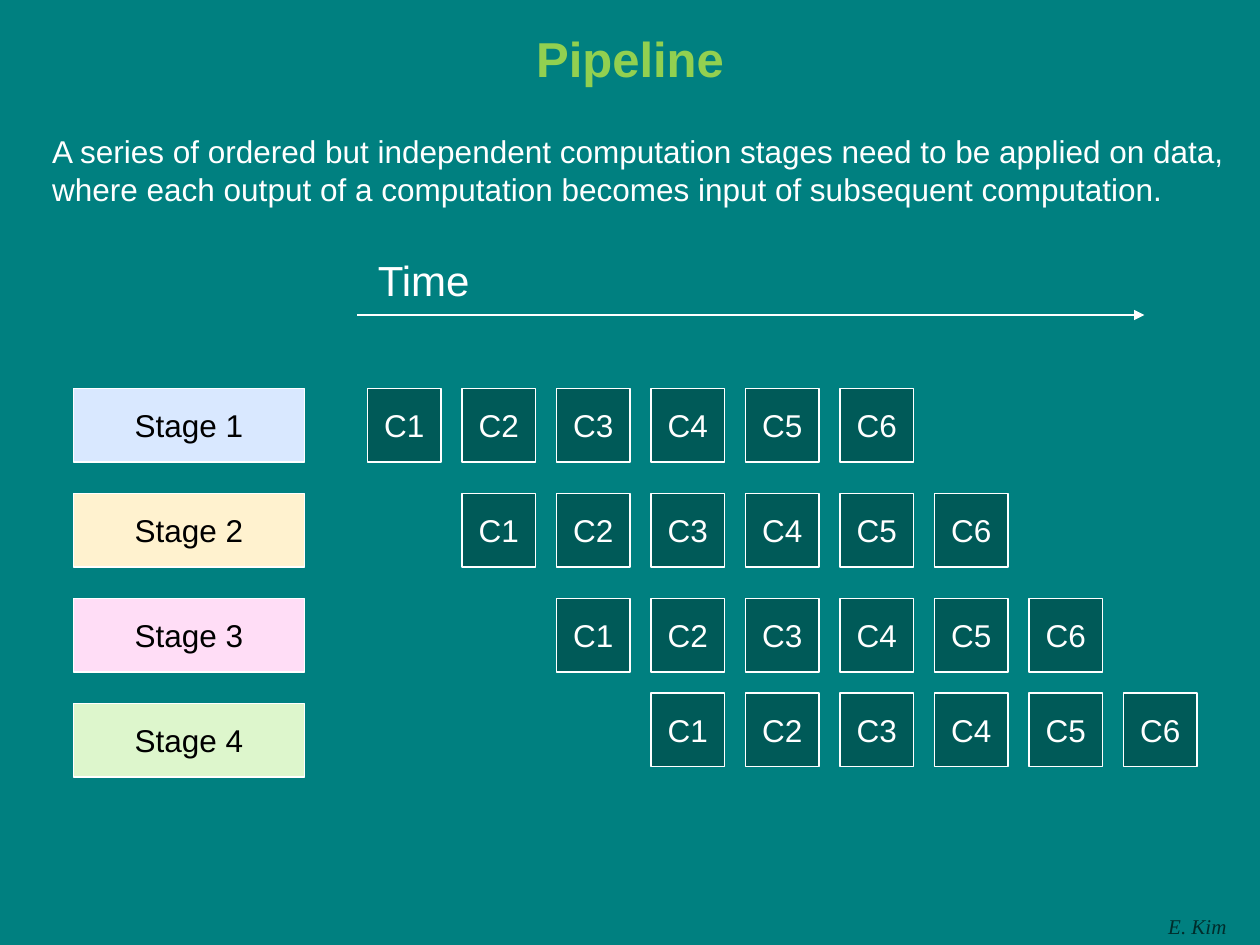
from lxml import etree
from pptx import Presentation
from pptx.dml.color import RGBColor
from pptx.enum.shapes import MSO_CONNECTOR, MSO_SHAPE
from pptx.enum.text import MSO_ANCHOR, PP_ALIGN
from pptx.oxml import parse_xml
from pptx.oxml.ns import nsdecls, qn
from pptx.util import Pt

LEFT, CENTER, RIGHT = PP_ALIGN.LEFT, PP_ALIGN.CENTER, PP_ALIGN.RIGHT
TOP, MIDDLE = MSO_ANCHOR.TOP, MSO_ANCHOR.MIDDLE
RECTANGLE, STRAIGHT = MSO_SHAPE.RECTANGLE, MSO_CONNECTOR.STRAIGHT

TEAL = RGBColor(0x00, 0x80, 0x80)
DARK_TEAL = RGBColor(0x00, 0x5A, 0x58)
DEEP_TEAL = RGBColor(0x00, 0x2D, 0x2C)
LIME = RGBColor(0x92, 0xD0, 0x50)
WHITE = RGBColor(0xFF, 0xFF, 0xFF)
BLACK = RGBColor(0x00, 0x00, 0x00)
PALE_BLUE = RGBColor(0xD9, 0xE8, 0xFF)
PALE_YELLOW = RGBColor(0xFF, 0xF2, 0xCF)
PALE_PINK = RGBColor(0xFF, 0xDD, 0xF6)
PALE_GREEN = RGBColor(0xDD, 0xF6, 0xCC)

TEXT_SHADOW = (
    f'<a:effectLst {nsdecls("a")}><a:outerShdw blurRad="38100" dist="38100" dir="2700000">'
    '<a:srgbClr val="000000"><a:alpha val="43000"/></a:srgbClr>'
    '</a:outerShdw></a:effectLst>'
)


class SlideBuilder:
    """Draws elements on one page; all lengths are in points."""

    font = "Arial"
    size = 18
    line_width = 0.75

    def __init__(self, page):
        self.page = page

    def fill_text(self, frame, lines, color, size=None, font=None, align=LEFT,
                  anchor=TOP, wrap=False, bold=False, italic=False):
        frame.word_wrap = wrap
        frame.vertical_anchor = anchor
        for index, line in enumerate(lines):
            para = frame.add_paragraph() if index else frame.paragraphs[0]
            para.alignment = align
            span = para.add_run()
            span.text = line
            span.font.name = font or self.font
            span.font.size = Pt(size or self.size)
            span.font.color.rgb = color
            span.font.bold = bold
            span.font.italic = italic

    def text(self, left, top, width, height, lines, color, **style):
        box = self.page.shapes.add_textbox(Pt(left), Pt(top), Pt(width), Pt(height))
        self.fill_text(box.text_frame, lines, color, **style)
        return box

    def block(self, left, top, width, height, label, fill, color):
        box = self.page.shapes.add_shape(
            RECTANGLE, Pt(left), Pt(top), Pt(width), Pt(height))
        box.shadow.inherit = False
        box.fill.solid()
        box.fill.fore_color.rgb = fill
        box.line.color.rgb = WHITE
        box.line.width = Pt(self.line_width)
        self.fill_text(box.text_frame, [label], color, align=CENTER, anchor=MIDDLE)

    def arrow(self, x1, y1, x2, y2):
        arrow = self.page.shapes.add_connector(STRAIGHT, Pt(x1), Pt(y1), Pt(x2), Pt(y2))
        arrow.line.color.rgb = WHITE
        arrow.line.width = Pt(self.line_width)
        properties = arrow._element.spPr
        etree.SubElement(properties.find(qn("a:ln")), qn("a:tailEnd"), type="triangle")
        etree.SubElement(properties, qn("a:effectLst"))


def main():
    deck = Presentation()
    deck.slide_width, deck.slide_height = Pt(720), Pt(540)
    page = deck.slides.add_slide(deck.slide_layouts[6])
    page.background.fill.solid()
    page.background.fill.fore_color.rgb = TEAL
    builder = SlideBuilder(page)

    # Title with a soft text shadow
    title = builder.text(298.5, 12.5, 123, 41, ["Pipeline"], LIME, size=28,
                         align=CENTER, anchor=MIDDLE, bold=True)
    span = title.text_frame.paragraphs[0].runs[0]
    span._r.rPr.find(qn("a:solidFill")).addnext(parse_xml(TEXT_SHADOW))

    # Stage labels, and computations shifted one step per stage
    side, step = 42, 54
    stages = [(PALE_BLUE, 222), (PALE_YELLOW, 282), (PALE_PINK, 342), (PALE_GREEN, 396)]
    for row, (fill, cell_top) in enumerate(stages):
        builder.block(42, 222 + 60 * row, 132, side, f"Stage {row + 1}", fill, BLACK)
        for column in range(6):
            builder.block(210 + step * (row + column), cell_top, side, side,
                          f"C{column + 1}", DARK_TEAL, WHITE)

    # Time axis
    builder.arrow(204, 180, 654, 180)
    builder.text(208.8, 142, 67.5, 36, ["Time"], WHITE, size=24)

    # Description
    builder.text(22.8, 72, 690, 51, [
        "A series of ordered but independent computation stages need to be applied on data,",
        "where each output of a computation becomes input of subsequent computation.",
    ], WHITE)

    # Author
    builder.text(570, 518.4, 138, 21.6, ["E. Kim"], DEEP_TEAL, size=12,
                 font="Times New Roman", align=RIGHT, wrap=True, italic=True)

    deck.save("out.pptx")


if __name__ == "__main__":
    main()
